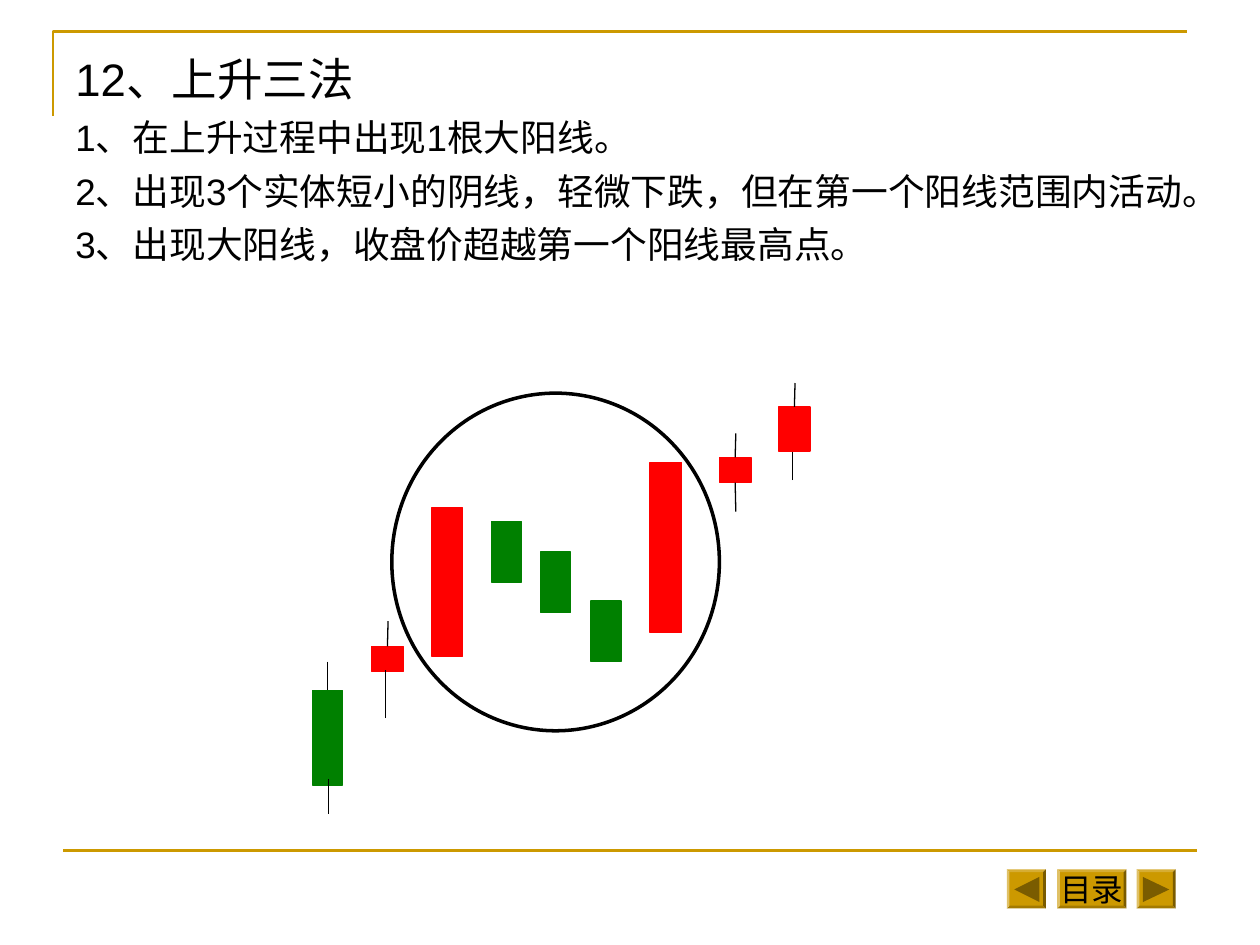
import pptx
import pptx.util
import pptx.dml.color
import pptx.enum.shapes
import pptx.enum.text
import pptx.oxml.ns
import lxml.etree

PX = 9144
GOLD = pptx.dml.color.RGBColor(0xCC, 0x99, 0x00)
BROWN = pptx.dml.color.RGBColor(0x7A, 0x5C, 0x00)
BLACK = pptx.dml.color.RGBColor(0x00, 0x00, 0x00)
RED = pptx.dml.color.RGBColor(0xFF, 0x00, 0x00)
GREEN = pptx.dml.color.RGBColor(0x00, 0x80, 0x00)
SHAPE = pptx.enum.shapes.MSO_SHAPE
TOP, BOTTOM = 0, 2

deck = pptx.Presentation()
deck.slide_width = 1000 * PX
deck.slide_height = 750 * PX
page = deck.slides.add_slide(deck.slide_layouts[6])


def add_shape(kind, left, top, width, height, fill, line, weight):
    shape = page.shapes.add_shape(kind, left * PX, top * PX, width * PX, height * PX)
    shape.shadow.inherit = False
    if fill is None:
        shape.fill.background()
    else:
        shape.fill.solid()
        shape.fill.fore_color.rgb = fill
    if line is None:
        shape.line.fill.background()
    else:
        shape.line.color.rgb = line
        shape.line.width = pptx.util.Pt(weight)
    return shape


def add_line(left, top, right, bottom, color, weight):
    line = page.shapes.add_connector(
        pptx.enum.shapes.MSO_CONNECTOR.STRAIGHT,
        left * PX, top * PX, right * PX, bottom * PX)
    line.line.color.rgb = color
    line.line.width = pptx.util.Pt(weight)
    lxml.etree.SubElement(line._element.spPr, pptx.oxml.ns.qn("a:effectLst"))
    return line


builder = page.shapes.build_freeform(42, 92, scale=PX)
builder.add_line_segments([(42, 25), (942, 25)], close=False)
corner = builder.convert_to_shape()
corner.shadow.inherit = False
corner.fill.background()
corner.line.color.rgb = GOLD
corner.line.width = pptx.util.Pt(1.5)
add_line(50, 675, 950, 675, GOLD, 1.5)

buttons = [
    (799, 31, "", [(805, 706), (825, 696), (825, 716)]),
    (839, 55, "目录", []),
    (902, 31, "", [(907, 696), (928, 706), (907, 716)]),
]
for left, width, label, arrow in buttons:
    button = add_shape(SHAPE.BEVEL, left, 690, width, 31, GOLD, None, 0)
    button.adjustments[0] = 0.07
    if label:
        frame = button.text_frame
        frame.word_wrap = False
        frame.vertical_anchor = pptx.enum.text.MSO_ANCHOR.MIDDLE
        para = frame.paragraphs[0]
        para.text = label
        para.alignment = pptx.enum.text.PP_ALIGN.CENTER
        para.font.name = "Arial"
        para.font.size = pptx.util.Pt(18)
        para.font.color.rgb = BLACK
    if arrow:
        builder = page.shapes.build_freeform(*arrow[0], scale=PX)
        builder.add_line_segments(arrow[1:])
        triangle = builder.convert_to_shape()
        triangle.shadow.inherit = False
        triangle.fill.solid()
        triangle.fill.fore_color.rgb = BROWN
        triangle.line.fill.background()

box = page.shapes.add_textbox(50 * PX, 36 * PX, 900 * PX, 634 * PX)
box.text_frame.word_wrap = True
lines = [
    ("12、上升三法", 26, 0),
    ("1、在上升过程中出现1根大阳线。", 21, 5.2),
    ("2、出现3个实体短小的阴线，轻微下跌，但在第一个阳线范围内活动。", 21, 5.2),
    ("3、出现大阳线，收盘价超越第一个阳线最高点。", 21, 5.2),
]
for index, (text, size, space) in enumerate(lines):
    para = box.text_frame.paragraphs[0] if index == 0 else box.text_frame.add_paragraph()
    para.text = text
    para.space_before = pptx.util.Pt(space)
    para.font.name = "Arial"
    para.font.size = pptx.util.Pt(size)
    para.font.color.rgb = BLACK
    properties = para._p.get_or_add_pPr()
    properties.set("marL", str(38 * PX))
    properties.set("indent", str(-38 * PX))

candles = [
    (248, 548, 24, 75, GREEN, (260, 525, 546, True), (261, 646, 618, False)),
    (295, 513, 25, 20, RED, (308, 493, 513, True), (306, 570, 532, False)),
    (343, 403, 24, 118, RED, None, None),
    (390, 414, 24, 48, GREEN, None, None),
    (429, 438, 24, 48, GREEN, None, None),
    (469, 477, 24, 48, GREEN, None, None),
    (516, 367, 25, 135, RED, None, None),
    (571, 363, 25, 20, RED, (584, 344, 363, True), (584, 406, 384, True)),
    (618, 323, 25, 35, RED, (631, 304, 324, True), (629, 381, 359, False)),
]
for left, top, width, height, color, upper, lower in candles:
    body = add_shape(SHAPE.RECTANGLE, left, top, width, height, color, color, 0.75)
    for wick, side in ((upper, TOP), (lower, BOTTOM)):
        if wick:
            x, tip, base, joined = wick
            line = add_line(x, tip, x, base, BLACK, 0.75)
            if joined:
                line.end_connect(body, side)

add_shape(SHAPE.OVAL, 311, 312, 260, 268, None, BLACK, 2)

deck.save("out.pptx")
